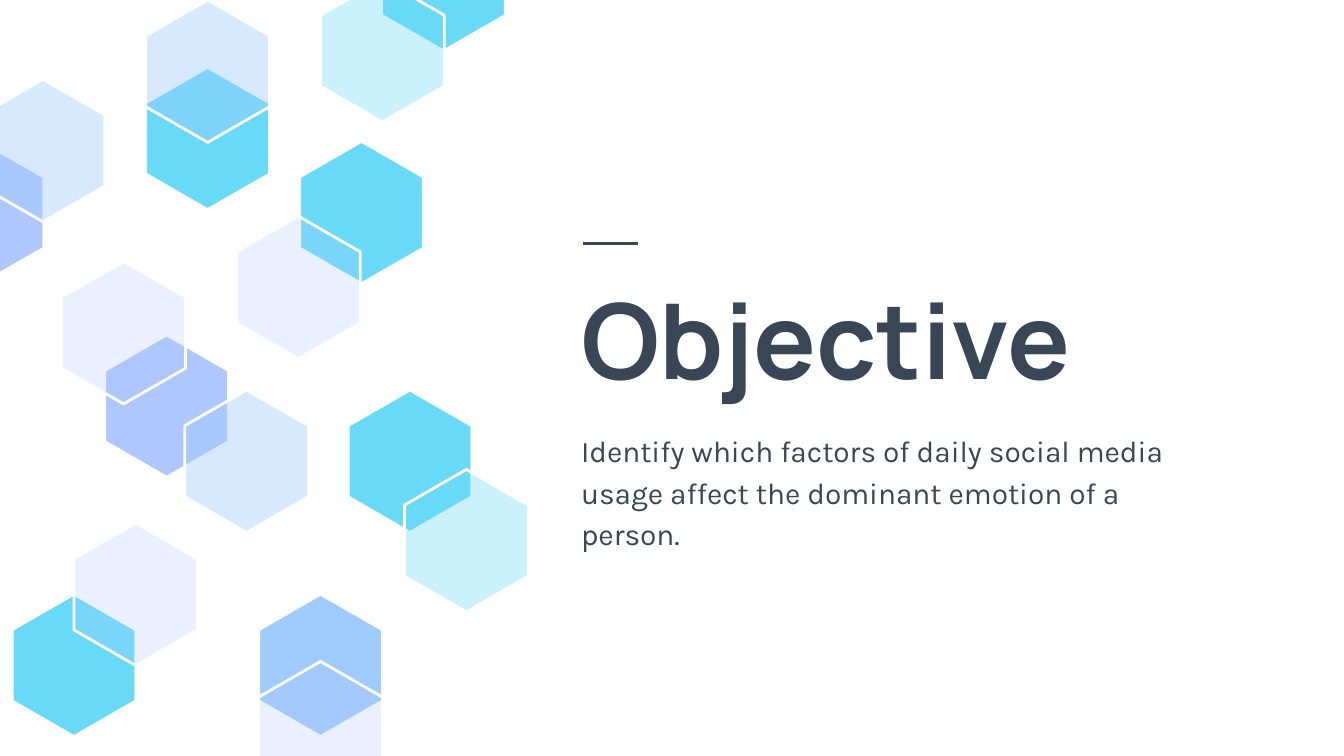
from lxml.etree import SubElement
from pptx import Presentation
from pptx.dml.color import RGBColor
from pptx.enum.shapes import MSO_CONNECTOR
from pptx.enum.text import MSO_ANCHOR
from pptx.oxml.ns import qn
from pptx.util import Inches, Pt

WIDTH = Inches(10)
HEIGHT = WIDTH * 9 // 16
SLATE = RGBColor(0x38, 0x46, 0x55)
WHITE = RGBColor(0xFF, 0xFF, 0xFF)
CYAN = RGBColor(0x68, 0xDA, 0xF8)
SKY = RGBColor(0x9F, 0xCB, 0xFD)
PERIWINKLE = RGBColor(0xAF, 0xC7, 0xFF)

# Corners as shares of the hexagon's width and height
HEX_W, HEX_H = Inches(0.92), Inches(1.06)
HEX_CORNERS = [(0.5, 0), (1, 0.25), (1, 0.75), (0.5, 1), (0, 0.75), (0, 0.25)]

# Left and top in percent of the slide, colour, opacity in percent; back to front
HEXAGONS = [
    (0.9, 78.6, CYAN, 100),
    (10.85, 8.9, CYAN, 100),
    (22.3, 18.7, CYAN, 100),
    (-5.95, 18.7, PERIWINKLE, 100),
    (10.85, 0, SKY, 41),
    (7.8, 44.3, PERIWINKLE, 100),
    (4.6, 34.6, PERIWINKLE, 25),
    (17.6, 28.6, PERIWINKLE, 25),
    (28.4, -12.1, CYAN, 100),
    (13.75, 51.6, SKY, 41),
    (23.85, -2.7, CYAN, 34),
    (19.25, 78.6, SKY, 100),
    (25.9, 51.6, CYAN, 100),
    (5.5, 69.2, PERIWINKLE, 25),
    (19.25, 87.5, PERIWINKLE, 25),
    (-1.4, 10.5, SKY, 41),
    (30.1, 62.1, CYAN, 34),
]

TITLE_FONT = {"name": "Manrope", "size": Pt(56), "bold": True}
BODY_FONT = {"name": "Karla", "size": Pt(16)}


def across(percent):
    return int(WIDTH * percent / 100)


def down(percent):
    return int(HEIGHT * percent / 100)


def set_all(obj, values):
    for name, value in values.items():
        setattr(obj, name, value)


def add_hexagon(s, left, top, color, opacity):
    points = [(int(x * HEX_W), int(y * HEX_H)) for x, y in HEX_CORNERS]
    builder = s.shapes.build_freeform(*points[0])
    builder.add_line_segments(points[1:], close=True)
    sp = builder.convert_to_shape(across(left), down(top))
    sp.shadow.inherit = False
    sp.fill.solid()
    sp.fill.fore_color.rgb = color
    if opacity < 100:
        clr = sp._element.spPr.find(qn("a:solidFill") + "/" + qn("a:srgbClr"))
        SubElement(clr, qn("a:alpha"), val=str(opacity * 1000))
    sp.line.color.rgb = WHITE
    sp.line.width = Pt(1.5)


def add_text(s, text, top, height, font, anchor, spacing):
    box = s.shapes.add_textbox(across(42.25), down(top), across(49.9), down(height))
    tf = box.text_frame
    set_all(tf, {"word_wrap": True, "vertical_anchor": anchor})
    sides = ("left", "right", "top", "bottom")
    set_all(tf, {f"margin_{side}": Inches(0.1) for side in sides})
    p = tf.paragraphs[0]
    p.line_spacing = spacing
    r = p.add_run()
    r.text = text
    set_all(r.font, font)
    r.font.color.rgb = SLATE


def add_rule(s, left, right, y):
    line = s.shapes.add_connector(
        MSO_CONNECTOR.STRAIGHT, across(left), down(y), across(right), down(y)
    )
    line.line.color.rgb = SLATE
    line.line.width = Pt(1.5)
    SubElement(line._element.spPr, qn("a:effectLst"))


def main():
    prs = Presentation()
    set_all(prs, {"slide_width": WIDTH, "slide_height": HEIGHT})
    s = prs.slides.add_slide(prs.slide_layouts[6])
    add_text(s, "Objective", 32.2, 22.6, TITLE_FONT, MSO_ANCHOR.BOTTOM, 1.0)
    add_text(
        s,
        "Identify which factors of daily social media usage affect "
        "the dominant emotion of a person.",
        54.8, 13, BODY_FONT, MSO_ANCHOR.TOP, 1.15,
    )
    for hexagon in HEXAGONS:
        add_hexagon(s, *hexagon)
    add_rule(s, 43.4, 47.5, 32.2)
    prs.save("out.pptx")


if __name__ == "__main__":
    main()
